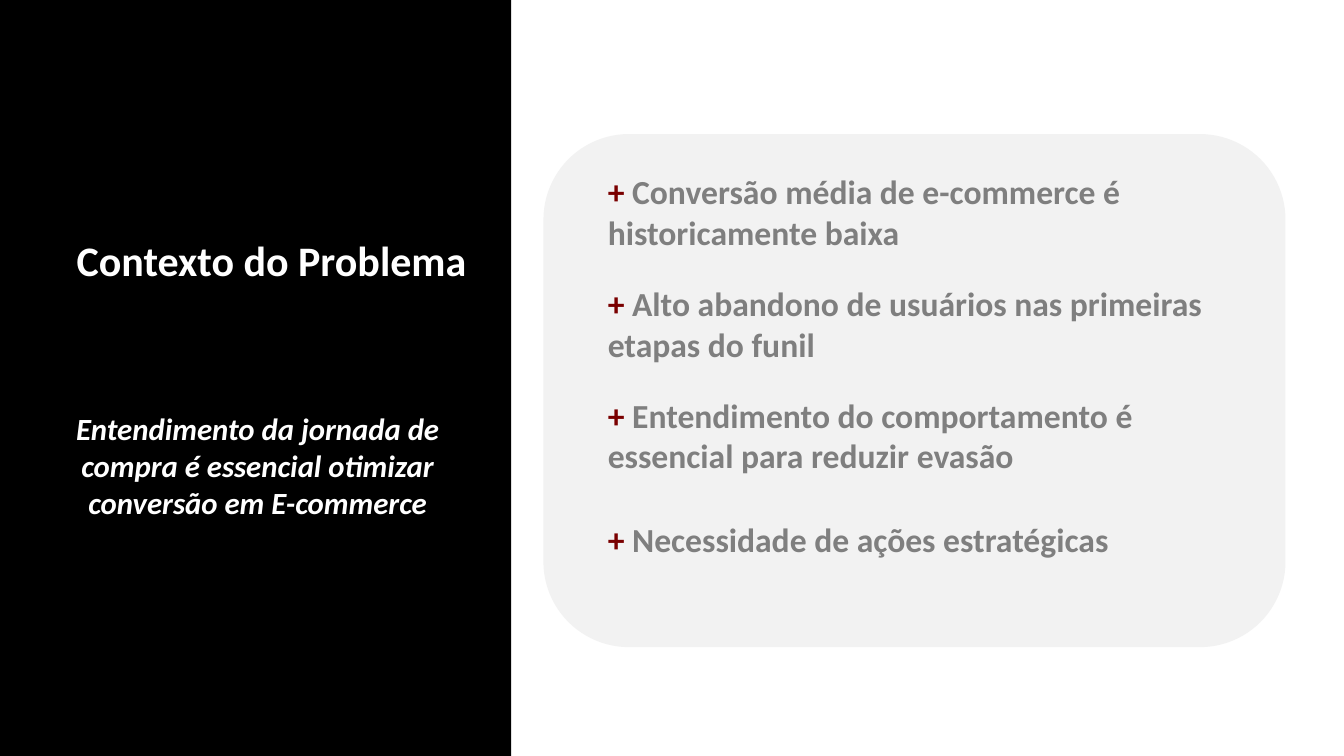
"""Build the slide that presents the context of the e-commerce conversion problem."""

from dataclasses import dataclass

import pptx
import pptx.dml.color
import pptx.enum.shapes
import pptx.enum.text
import pptx.slide
import pptx.util

Inches = pptx.util.Inches
Shapes = pptx.enum.shapes.MSO_SHAPE
Align = pptx.enum.text.PP_ALIGN

BLACK, WHITE = "000000", "FFFFFF"
LIGHT_GREY, GREY, DARK_RED = "F2F2F2", "7F7F7F", "7A0000"
POINT_LEFT, POINT_TOP, POINT_STEP = 5.93, 1.65, 1.11


@dataclass
class Frame:
    left: float
    top: float
    width: float
    height: float

    def lengths(self) -> list[pptx.util.Length]:
        return [Inches(n) for n in (self.left, self.top, self.width, self.height)]


@dataclass
class Panel:
    kind: Shapes
    frame: Frame
    fill: str


@dataclass
class Span:
    text: str
    color: str


@dataclass
class Label:
    frame: Frame
    spans: list[Span]
    size: float
    align: Align = Align.LEFT
    italic: bool = False


def color_of(code: str) -> pptx.dml.color.RGBColor:
    return pptx.dml.color.RGBColor.from_string(code)


def draw_panel(page: pptx.slide.Slide, panel: Panel) -> None:
    shape = page.shapes.add_shape(panel.kind, *panel.frame.lengths())
    shape.shadow.inherit = False
    shape.fill.solid()
    shape.fill.fore_color.rgb = color_of(panel.fill)
    shape.line.fill.background()


def draw_label(page: pptx.slide.Slide, label: Label) -> None:
    box = page.shapes.add_textbox(*label.frame.lengths())
    box.text_frame.word_wrap = True
    para = box.text_frame.paragraphs[0]
    para.alignment = label.align
    formats = {
        "name": "Calibri",
        "size": pptx.util.Pt(label.size),
        "bold": True,
        "italic": label.italic,
    }
    for span in label.spans:
        run = para.add_run()
        run.text = span.text
        for name, value in formats.items():
            setattr(run.font, name, value)
        run.font.color.rgb = color_of(span.color)


def point_label(text: str, frame: Frame) -> Label:
    return Label(frame, [Span("+ ", DARK_RED), Span(text, GREY)], 24)


PANELS = [
    Panel(Shapes.FLOWCHART_ALTERNATE_PROCESS, Frame(5.39, 1.33, 7.36, 5.09), LIGHT_GREY),
    Panel(Shapes.RECTANGLE, Frame(0, -0.04, 5.07, 7.54), BLACK),
]

HEADINGS = [
    Label(
        Frame(0.61, 2.28, 4.17, 0.61),
        [Span("Contexto do Problema", WHITE)],
        30,
        Align.CENTER,
    ),
    Label(
        Frame(0.57, 4.02, 3.97, 1.21),
        [Span("Entendimento da jornada de compra é essencial otimizar conversão em E-commerce", WHITE)],
        22,
        Align.CENTER,
        italic=True,
    ),
]

LONG_POINTS = [
    "Conversão média de e-commerce é historicamente baixa",
    "Alto abandono de usuários nas primeiras etapas do funil",
    "Entendimento do comportamento é essencial para reduzir evasão",
]


def main() -> None:
    deck = pptx.Presentation()
    deck.slide_width, deck.slide_height = Inches(13.33), Inches(7.5)
    page = deck.slides.add_slide(deck.slide_layouts[6])
    points = [
        point_label(text, Frame(POINT_LEFT, POINT_TOP + row * POINT_STEP, 6.42, 0.91))
        for row, text in enumerate(LONG_POINTS)
    ]
    points.append(point_label("Necessidade de ações estratégicas", Frame(POINT_LEFT, 5.1, 6.52, 0.5)))
    for panel in PANELS:
        draw_panel(page, panel)
    for label in HEADINGS + points:
        draw_label(page, label)
    deck.save("out.pptx")


if __name__ == "__main__":
    main()
